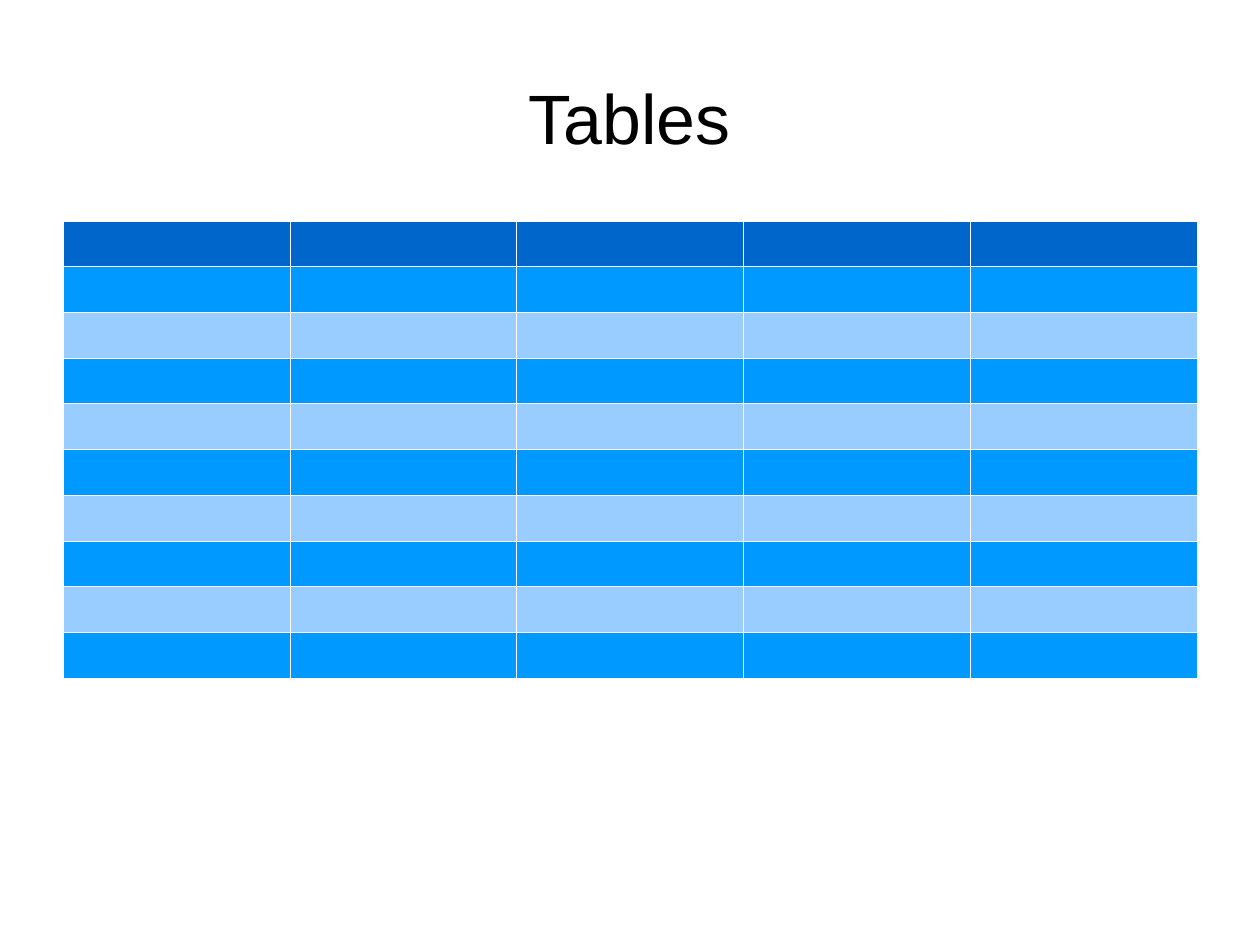
from dataclasses import dataclass

from lxml import etree
from pptx import Presentation
from pptx import util as u
from pptx.dml.color import RGBColor
from pptx.enum import text
from pptx.oxml.ns import qn
from pptx.table import _Cell

BLACK = RGBColor(0x00, 0x00, 0x00)
WHITE = RGBColor(0xFF, 0xFF, 0xFF)
HEADER_BLUE = RGBColor(0x00, 0x66, 0xCC)
BRIGHT_BLUE = RGBColor(0x00, 0x99, 0xFF)
PALE_BLUE = RGBColor(0x99, 0xCC, 0xFF)

LEFT, WIDTH = 0.55, 9.92
BORDER = u.Pt(0.06)


@dataclass(frozen=True)
class Grid:
    top: float
    rows: int
    cols: int
    row_height: float


def row_color(row: int) -> RGBColor:
    if row == 0:
        return HEADER_BLUE
    return BRIGHT_BLUE if row % 2 else PALE_BLUE


def add_borders(cell: _Cell) -> None:
    tc_pr = cell._tc.get_or_add_tcPr()
    for side in ("a:lnL", "a:lnR", "a:lnT", "a:lnB"):
        line = etree.SubElement(tc_pr, qn(side), w=str(int(BORDER)))
        fill = etree.SubElement(line, qn("a:solidFill"))
        etree.SubElement(fill, qn("a:srgbClr"), val=str(WHITE))


def add_title(s, title: str) -> None:
    sp = s.shapes.title
    sp.left, sp.top = u.Inches(LEFT), u.Inches(0.33)
    sp.width, sp.height = u.Inches(WIDTH), u.Inches(1.38)
    tf = sp.text_frame
    tf.text = title
    tf.margin_left = tf.margin_right = tf.margin_top = tf.margin_bottom = 0
    tf.vertical_anchor = text.MSO_ANCHOR.MIDDLE
    p = tf.paragraphs[0]
    p.alignment = text.PP_ALIGN.CENTER
    p.font.name = "Arial"
    p.font.size = u.Pt(44)
    p.font.color.rgb = BLACK


def add_banded_table(s, grid: Grid) -> None:
    table = s.shapes.add_table(
        grid.rows, grid.cols, u.Inches(LEFT), u.Inches(grid.top),
        u.Inches(WIDTH), u.Inches(grid.rows * grid.row_height),
    ).table
    for i, row in enumerate(table.rows):
        for cell in row.cells:
            cell.margin_top = cell.margin_bottom = u.Inches(0.04)
            add_borders(cell)
            cell.fill.solid()
            cell.fill.fore_color.rgb = row_color(i)


def main() -> None:
    prs = Presentation()
    prs.slide_width, prs.slide_height = u.Cm(28), u.Cm(21)
    s = prs.slides.add_slide(prs.slide_layouts.get_by_name("Title Only"))
    add_title(s, "Tables")
    add_banded_table(s, Grid(top=1.93, rows=10, cols=5, row_height=0.4))
    prs.save("out.pptx")


if __name__ == "__main__":
    main()
